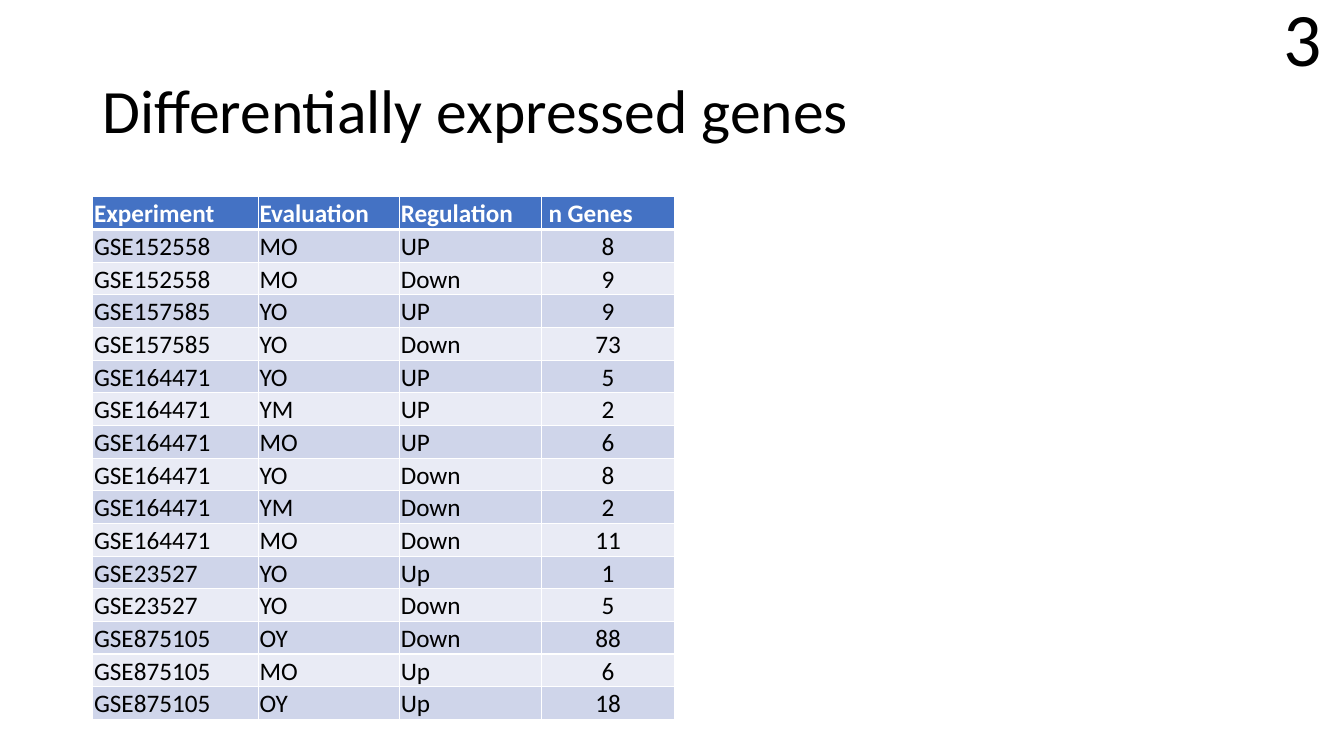
from lxml import etree
from pptx import Presentation
from pptx.dml.color import RGBColor
from pptx.enum import text
from pptx.oxml import ns
from pptx.util import Cm, Pt

FONT = "Calibri"
BLACK = RGBColor(0x00, 0x00, 0x00)
WHITE = RGBColor(0xFF, 0xFF, 0xFF)
HEADER_BLUE = RGBColor(0x44, 0x72, 0xC4)
BAND_DARK = RGBColor(0xCF, 0xD5, 0xEA)
BAND_LIGHT = RGBColor(0xE9, 0xEB, 0xF5)

COLUMN_WIDTHS = (4.17, 3.56, 3.58, 3.35)
HEADINGS = ("Experiment", "Evaluation", "Regulation", " n Genes")
GENE_COUNTS = (
    ("GSE152558", "MO", "UP", 8),
    ("GSE152558", "MO", "Down", 9),
    ("GSE157585", "YO", "UP", 9),
    ("GSE157585", "YO", "Down", 73),
    ("GSE164471", "YO", "UP", 5),
    ("GSE164471", "YM", "UP", 2),
    ("GSE164471", "MO", "UP", 6),
    ("GSE164471", "YO", "Down", 8),
    ("GSE164471", "YM", "Down", 2),
    ("GSE164471", "MO", "Down", 11),
    ("GSE23527", "YO", "Up", 1),
    ("GSE23527", "YO", "Down", 5),
    ("GSE875105", "OY", "Down", 88),
    ("GSE875105", "MO", "Up", 6),
    ("GSE875105", "OY", "Up", 18),
)


def add_span(para, words, size, color=BLACK, bold=False):
    span = para.add_run()
    span.text = words
    span.font.name = FONT
    span.font.size = Pt(size)
    span.font.bold = bold
    span.font.color.rgb = color


def add_title(page, left, top, width, height):
    box = page.shapes.add_textbox(left, top, width, height)
    frame = box.text_frame
    frame.word_wrap = True
    frame.vertical_anchor = text.MSO_ANCHOR.MIDDLE
    para = frame.paragraphs[0]
    para.line_spacing = 0.9
    add_span(para, "Differentially expressed genes", 44)


def add_page_number(page, left, top, width, height):
    box = page.shapes.add_textbox(left, top, width, height)
    frame = box.text_frame
    frame.word_wrap = False
    frame.auto_size = text.MSO_AUTO_SIZE.SHAPE_TO_FIT_TEXT
    para = frame.paragraphs[0]
    para.alignment = text.PP_ALIGN.CENTER
    add_span(para, "3", 54)


def set_borders(cell, top, bottom):
    """Draw white cell borders; they must come before the cell fill."""
    properties = cell._tc.get_or_add_tcPr()
    sides = (("lnL", 1), ("lnR", 1), ("lnT", top), ("lnB", bottom))
    for position, (side, width) in enumerate(sides):
        line = etree.Element(ns.qn(f"a:{side}"), w=str(Pt(width)))
        fill = etree.SubElement(line, ns.qn("a:solidFill"))
        etree.SubElement(fill, ns.qn("a:srgbClr"), val=str(WHITE))
        properties.insert(position, line)


def fill_cell(cell, words, row, centered):
    header = row == 0
    cell.margin_left = cell.margin_right = cell.margin_top = Cm(0.03)
    cell.margin_bottom = 0
    cell.vertical_anchor = text.MSO_ANCHOR.BOTTOM
    cell.fill.solid()
    band = BAND_DARK if row % 2 else BAND_LIGHT
    cell.fill.fore_color.rgb = HEADER_BLUE if header else band
    # The rule under the header is heavier than the others
    set_borders(cell, top=3 if row == 1 else 1, bottom=3 if header else 1)
    para = cell.text_frame.paragraphs[0]
    if centered:
        para.alignment = text.PP_ALIGN.CENTER
    add_span(para, words, 18, WHITE if header else BLACK, header)


def add_gene_table(page, left, top, width, height):
    rows = (HEADINGS, *GENE_COUNTS)
    table = page.shapes.add_table(
        len(rows), len(HEADINGS), left, top, width, height).table
    for column, share in zip(table.columns, COLUMN_WIDTHS):
        column.width = int(width * share / sum(COLUMN_WIDTHS))
    for row, values in enumerate(rows):
        table.rows[row].height = height // len(rows)
        for column, value in enumerate(values):
            fill_cell(table.cell(row, column), str(value), row,
                      centered=isinstance(value, int))


def main():
    deck = Presentation()
    deck.slide_width, deck.slide_height = Cm(33.87), Cm(19.05)
    page = deck.slides.add_slide(deck.slide_layouts[6])
    add_title(page, Cm(2.34), Cm(1.02), Cm(29.21), Cm(3.68))
    add_gene_table(page, Cm(2.34), Cm(4.96), Cm(14.66), Cm(13.18))
    add_page_number(page, Cm(32.08), Cm(-0.36), Cm(1.5), Cm(2.57))
    deck.save("out.pptx")


if __name__ == "__main__":
    main()
